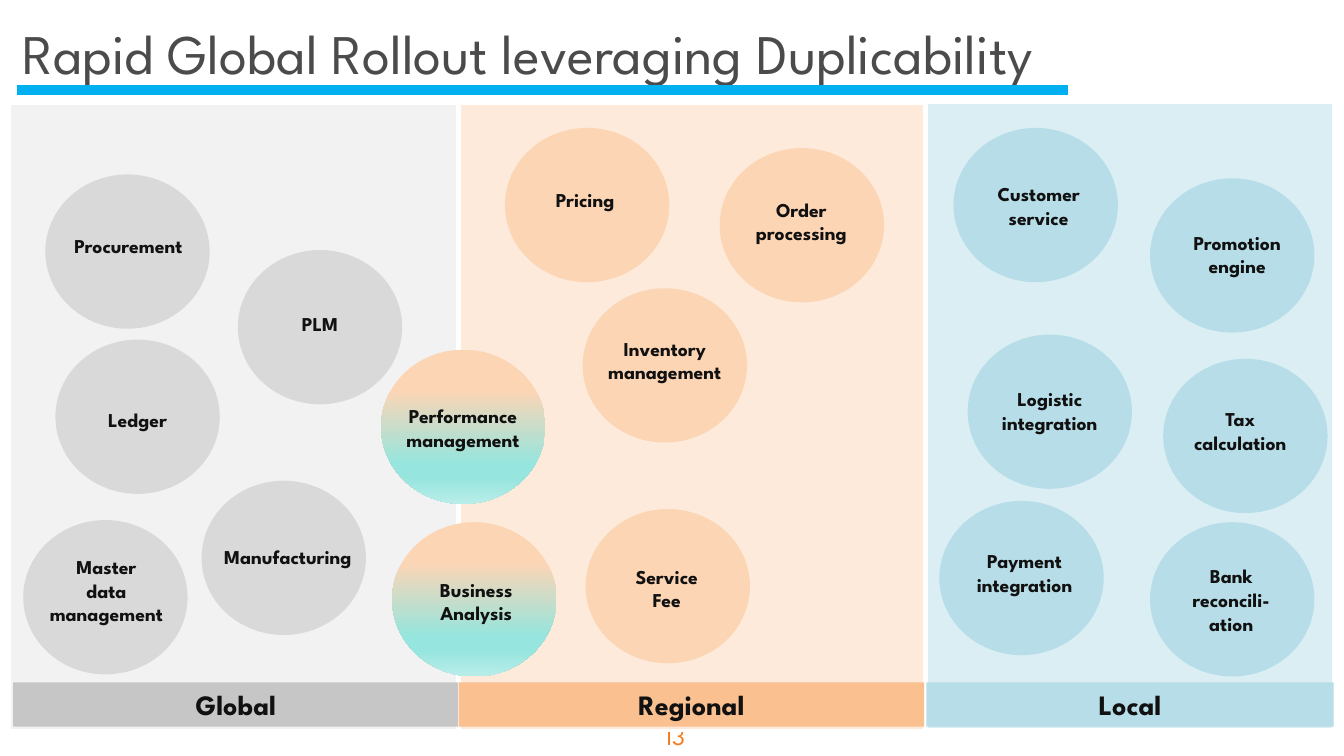
from dataclasses import dataclass

from lxml.etree import SubElement
from pptx import Presentation
from pptx.dml.color import RGBColor
from pptx.enum.shapes import MSO_CONNECTOR, MSO_SHAPE
from pptx.enum.text import MSO_ANCHOR, MSO_AUTO_SIZE, PP_ALIGN
from pptx.oxml.ns import qn
from pptx.shapes.autoshape import Shape
from pptx.slide import Slide
from pptx.text.text import TextFrame
from pptx.util import Pt


@dataclass(frozen=True)
class Theme:
    font: str = "League Spartan"
    title: str = "4B4B4B"
    accent: str = "00B0F0"
    number: str = "F47B20"
    ink: str = "111111"
    edge: str = "FFFFFF"
    title_size: float = 39.9
    band_size: float = 20
    number_size: float = 18
    label_size: float = 14
    shared: tuple[tuple[int, str], ...] = (
        (26, "FCD5B5"), (74, "96E5DE"), (83, "96E5DE"), (100, "B9EDE9"))


@dataclass(frozen=True)
class Region:
    name: str
    left: float
    top: float
    width: float
    band_left: float
    band_width: float
    panel_fill: str
    band_fill: str


@dataclass(frozen=True)
class Bubble:
    """A circle and its label; without a fill it is shared by two regions."""
    text: str
    left: float
    top: float
    label_left: float
    label_top: float
    label_width: float
    fill: str | None
    lines: int = 2


THEME = Theme()
GREY, PEACH, BLUE = "D9D9D9", "FCD5B5", "B7DEE8"
PANEL_HEIGHT = 447.8
BAND_TOP, BAND_HEIGHT = 487.4, 31.7
BUBBLE_WIDTH, BUBBLE_HEIGHT = 117.4, 110.2
LINE_HEIGHT, LABEL_PADDING = 16.9, 7.4

REGIONS = [
    Region("Global", 7.2, 74.2, 319.7, 9.4, 318.2, "F2F2F2", "C6C6C7"),
    Region("Regional", 328.3, 74.2, 331.9, 327.6, 332.6, "FDEADA", "FAC090"),
    Region("Local", 661.7, 73.4, 290.9, 661.7, 290.9, "DBEEF4", "B7DEE8"),
]

BUBBLES = [
    Bubble("Procurement", 32.4, 124.6, 36, 163.4, 111.6, GREY, 1),
    Bubble("PLM", 169.9, 178.6, 172.8, 218.9, 111.6, GREY, 1),
    Bubble("Ledger", 39.6, 242.6, 42.5, 288, 111.6, GREY, 1),
    Bubble("Manufacturing", 144, 343.4, 149.8, 385.9, 111.6, GREY, 1),
    Bubble("Master\ndata management", 16.6, 371.5, 20.2, 393.1, 111.6, GREY, 3),
    Bubble("Business Analysis", 280.1, 373, 284.4, 409, 111.6, None),
    Bubble("Performance management", 272.2, 249.8, 275, 285.1, 111.6, None),
    Bubble("Pricing", 360.7, 91.4, 364.3, 131, 107.3, PEACH, 1),
    Bubble("Order processing", 514.1, 105.8, 526.3, 137.5, 92.2, PEACH),
    Bubble("Inventory management", 416.2, 205.9, 421.2, 236.9, 107.3, PEACH),
    Bubble("Service Fee", 418.3, 363.6, 436.3, 399.6, 79.9, PEACH),
    Bubble("Customer service", 681.1, 91.4, 694.8, 126.7, 94.3, BLUE),
    Bubble("Promotion engine", 821.5, 127.4, 836.6, 161.3, 94.3, BLUE),
    Bubble("Logistic integration", 691.2, 239, 702.7, 272.9, 94.3, BLUE),
    Bubble("Tax calculation", 830.9, 256.3, 838.8, 287.3, 94.3, BLUE),
    Bubble("Payment integration", 671, 357.8, 684.7, 388.8, 94.3, BLUE),
    Bubble("Bank reconcili-ation", 821.5, 373, 843.1, 399.6, 72.7, BLUE, 3),
]


def write(frame: TextFrame, text: str, size: float, color: str,
          bold: bool = False, align: PP_ALIGN = PP_ALIGN.CENTER) -> None:
    """Fill the frame with one paragraph per line of text."""
    for index, line in enumerate(text.split("\n")):
        para = frame.add_paragraph() if index else frame.paragraphs[0]
        para.alignment = align
        span = para.add_run()
        span.text = line
        span.font.name = THEME.font
        span.font.size = Pt(size)
        span.font.bold = bold
        span.font.color.rgb = RGBColor.from_string(color)


def add_text_box(page: Slide, text: str, left: float, top: float, width: float,
                 height: float, size: float, color: str, bold: bool) -> None:
    box = page.shapes.add_textbox(Pt(left), Pt(top), Pt(width), Pt(height))
    box.text_frame.word_wrap = True
    box.text_frame.auto_size = MSO_AUTO_SIZE.SHAPE_TO_FIT_TEXT
    write(box.text_frame, text, size, color, bold)


def add_flat_shape(page: Slide, kind: MSO_SHAPE, left: float, top: float,
                   width: float, height: float, fill: str | None) -> Shape:
    shape = page.shapes.add_shape(kind, Pt(left), Pt(top), Pt(width), Pt(height))
    shape.shadow.inherit = False
    shape.line.fill.background()
    if fill:
        shape.fill.solid()
        shape.fill.fore_color.rgb = RGBColor.from_string(fill)
    else:
        blend_shared(shape)
    return shape


def blend_shared(shape: Shape) -> None:
    """Run the shared colours from top to bottom of the shape."""
    shape.fill.gradient()
    shape.fill.gradient_angle = 270
    stops = shape.element.spPr.find(qn("a:gradFill")).find(qn("a:gsLst"))
    for stop in list(stops):
        stops.remove(stop)
    for percent, color in THEME.shared:
        stop = SubElement(stops, qn("a:gs"), pos=str(percent * 1000))
        SubElement(stop, qn("a:srgbClr"), val=color)


def add_title(page: Slide, text: str) -> None:
    title = page.shapes.title
    title.left, title.top, title.width, title.height = Pt(0), Pt(10.1), Pt(857.5), Pt(54.7)
    frame = title.text_frame
    frame.auto_size = MSO_AUTO_SIZE.NONE
    frame.word_wrap = True
    frame.vertical_anchor = MSO_ANCHOR.MIDDLE
    frame.margin_left, frame.margin_right = Pt(16), Pt(8.6)
    frame.margin_top = frame.margin_bottom = Pt(4.3)
    write(frame, text, THEME.title_size, THEME.title, align=PP_ALIGN.LEFT)

    rule = page.shapes.add_connector(
        MSO_CONNECTOR.STRAIGHT, Pt(12.2), Pt(64.4), Pt(763.2), Pt(64.4))
    rule.line.color.rgb = RGBColor.from_string(THEME.accent)
    rule.line.width = Pt(6.75)
    SubElement(rule.element.spPr, qn("a:effectLst"))


def add_region(page: Slide, region: Region) -> None:
    panel = add_flat_shape(page, MSO_SHAPE.RECTANGLE, region.left, region.top,
                           region.width, PANEL_HEIGHT, region.panel_fill)
    panel.line.color.rgb = RGBColor.from_string(THEME.edge)
    panel.line.width = Pt(2)
    band = add_flat_shape(page, MSO_SHAPE.RECTANGLE, region.band_left, BAND_TOP,
                          region.band_width, BAND_HEIGHT, region.band_fill)
    band.text_frame.vertical_anchor = MSO_ANCHOR.MIDDLE
    write(band.text_frame, region.name, THEME.band_size, THEME.ink, bold=True)


def add_bubble(page: Slide, bubble: Bubble) -> None:
    add_flat_shape(page, MSO_SHAPE.OVAL, bubble.left, bubble.top,
                   BUBBLE_WIDTH, BUBBLE_HEIGHT, bubble.fill)
    add_text_box(page, bubble.text, bubble.label_left, bubble.label_top,
                 bubble.label_width, LABEL_PADDING + bubble.lines * LINE_HEIGHT,
                 THEME.label_size, THEME.ink, True)


def main() -> None:
    deck = Presentation()
    deck.slide_width, deck.slide_height = Pt(960), Pt(540)
    page = deck.slides.add_slide(deck.slide_layouts.get_by_name("Title Only"))
    add_text_box(page, "13", 463.7, 511.2, 36.7, 28.8,
                 THEME.number_size, THEME.number, False)
    add_title(page, "Rapid Global Rollout leveraging Duplicability")
    for region in REGIONS:
        add_region(page, region)
    for bubble in BUBBLES:
        add_bubble(page, bubble)
    deck.save("out.pptx")


if __name__ == "__main__":
    main()
